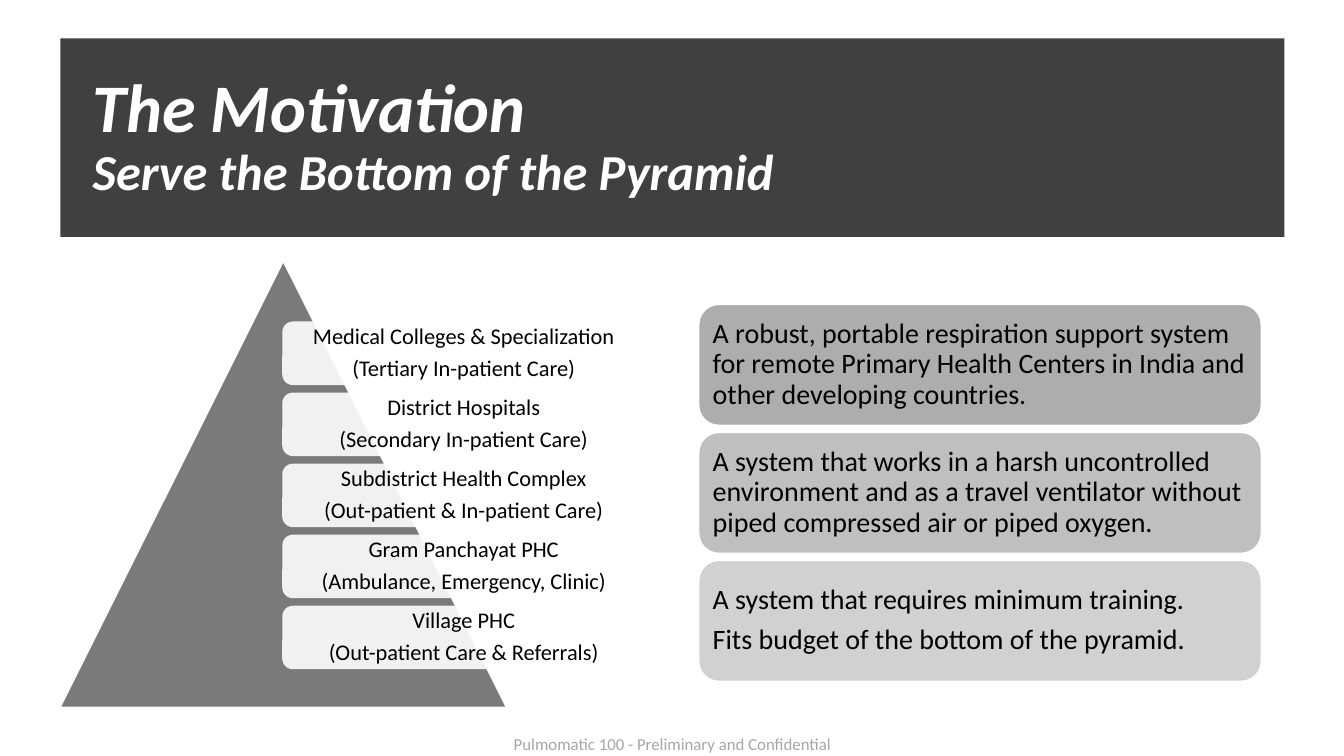
from lxml import etree
from pptx import Presentation
from pptx.dml.color import RGBColor
from pptx.enum import shapes, text
from pptx.oxml import ns
from pptx.util import Inches, Pt

TITLE = "The Motivation"
SUBTITLE = "Serve the Bottom of the Pyramid"
LEVELS = [
    ("Medical Colleges & Specialization", "(Tertiary In-patient Care)"),
    ("District Hospitals", "(Secondary In-patient Care)"),
    ("Subdistrict Health Complex", "(Out-patient & In-patient Care)"),
    ("Gram Panchayat PHC", "(Ambulance, Emergency, Clinic)"),
    ("Village PHC", "(Out-patient Care & Referrals)"),
]
GOALS = [  # paragraphs, opacity in percent
    (["A robust, portable respiration support system for remote Primary Health Centers "
      "in India and other developing countries."], 90),
    (["A system that works in a harsh uncontrolled environment and as a travel ventilator "
      "without piped compressed air or piped oxygen."], 70),
    (["A system that requires minimum training.",
      "Fits budget of the bottom of the pyramid."], 50),
]
FOOTER = "Pulmomatic 100 - Preliminary and Confidential"

FONT = "Calibri"
WHITE = RGBColor(0xFF, 0xFF, 0xFF)
BLACK = RGBColor(0, 0, 0)
BANNER = RGBColor(0x40, 0x40, 0x40)
PYRAMID = RGBColor(0x7A, 0x7A, 0x7A)
CARD = RGBColor(0xA5, 0xA5, 0xA5)
FOOTER_GRAY = RGBColor(0xA6, 0xA6, 0xA6)

LEVEL_TOP, LEVEL_STEP = 3.19, 0.705
GOAL_TOP, GOAL_STEP = 3.02, 1.27


def add_block(slide, kind, box, color, opacity=100):
    shape = slide.shapes.add_shape(kind, *map(Inches, box))
    shape.shadow.inherit = False
    shape.fill.solid()
    shape.fill.fore_color.rgb = color
    shape.line.fill.background()
    if opacity < 100:
        fill_color = shape._element.spPr.find(".//" + ns.qn("a:srgbClr"))
        etree.SubElement(fill_color, ns.qn("a:alpha"), val=str(opacity * 1000))
    return shape


def add_text_box(slide, box):
    frame = slide.shapes.add_textbox(*map(Inches, box)).text_frame
    frame.word_wrap = True
    frame.vertical_anchor = text.MSO_ANCHOR.MIDDLE
    return frame


def add_run(paragraph, words, size, color, emphasis=False):
    run = paragraph.add_run()
    run.text = words
    run.font.name = FONT
    run.font.size = Pt(size)
    run.font.color.rgb = color
    run.font.bold = run.font.italic = emphasis


def fill_text(shape, lines, size, align, inset):
    frame = shape.text_frame
    frame.word_wrap = True
    frame.vertical_anchor = text.MSO_ANCHOR.MIDDLE
    frame.margin_left = frame.margin_right = Inches(inset)
    frame.margin_top = frame.margin_bottom = Inches(inset)
    for index, line in enumerate(lines):
        paragraph = frame.add_paragraph() if index else frame.paragraphs[0]
        paragraph.alignment = align
        paragraph.line_spacing = 0.9
        paragraph.space_after = Pt(size * 0.35)
        add_run(paragraph, line, size, BLACK)


def add_title(slide):
    add_block(slide, shapes.MSO_SHAPE.RECTANGLE, (0.6, 0.38, 12.14, 1.97), BANNER)
    paragraph = add_text_box(slide, (0.82, 0.64, 11.69, 1.45)).paragraphs[0]
    paragraph.line_spacing = 0.9
    add_run(paragraph, TITLE, 48.6, WHITE, True)
    paragraph.add_line_break()
    add_run(paragraph, SUBTITLE, 36, WHITE, True)


def add_goals(slide):
    for index, (lines, opacity) in enumerate(GOALS):
        box = (6.93, GOAL_TOP + index * GOAL_STEP, 5.58, 1.2)
        card = add_block(slide, shapes.MSO_SHAPE.ROUNDED_RECTANGLE, box, CARD, opacity)
        card.line.color.rgb = WHITE
        card.line.width = Pt(1)
        fill_text(card, lines, 20, text.PP_ALIGN.LEFT, 0.08)


def add_pyramid(slide):
    add_block(slide, shapes.MSO_SHAPE.ISOSCELES_TRIANGLE, (0.61, 2.61, 4.4, 4.4), PYRAMID)
    for index, lines in enumerate(LEVELS):
        box = (2.8, LEVEL_TOP + index * LEVEL_STEP, 3.6, 0.63)
        level = add_block(slide, shapes.MSO_SHAPE.ROUNDED_RECTANGLE, box, WHITE, 90)
        fill_text(level, lines, 16, text.PP_ALIGN.CENTER, 0.07)


def add_footer(slide):
    paragraph = add_text_box(slide, (4.42, 7.18, 4.5, 0.4)).paragraphs[0]
    paragraph.alignment = text.PP_ALIGN.CENTER
    add_run(paragraph, FOOTER, 12, FOOTER_GRAY)


def main():
    presentation = Presentation()
    presentation.slide_width = Inches(13.33)
    presentation.slide_height = Inches(7.5)
    slide = presentation.slides.add_slide(presentation.slide_layouts[6])
    add_title(slide)
    add_goals(slide)
    add_pyramid(slide)
    add_footer(slide)
    presentation.save("out.pptx")


if __name__ == "__main__":
    main()
